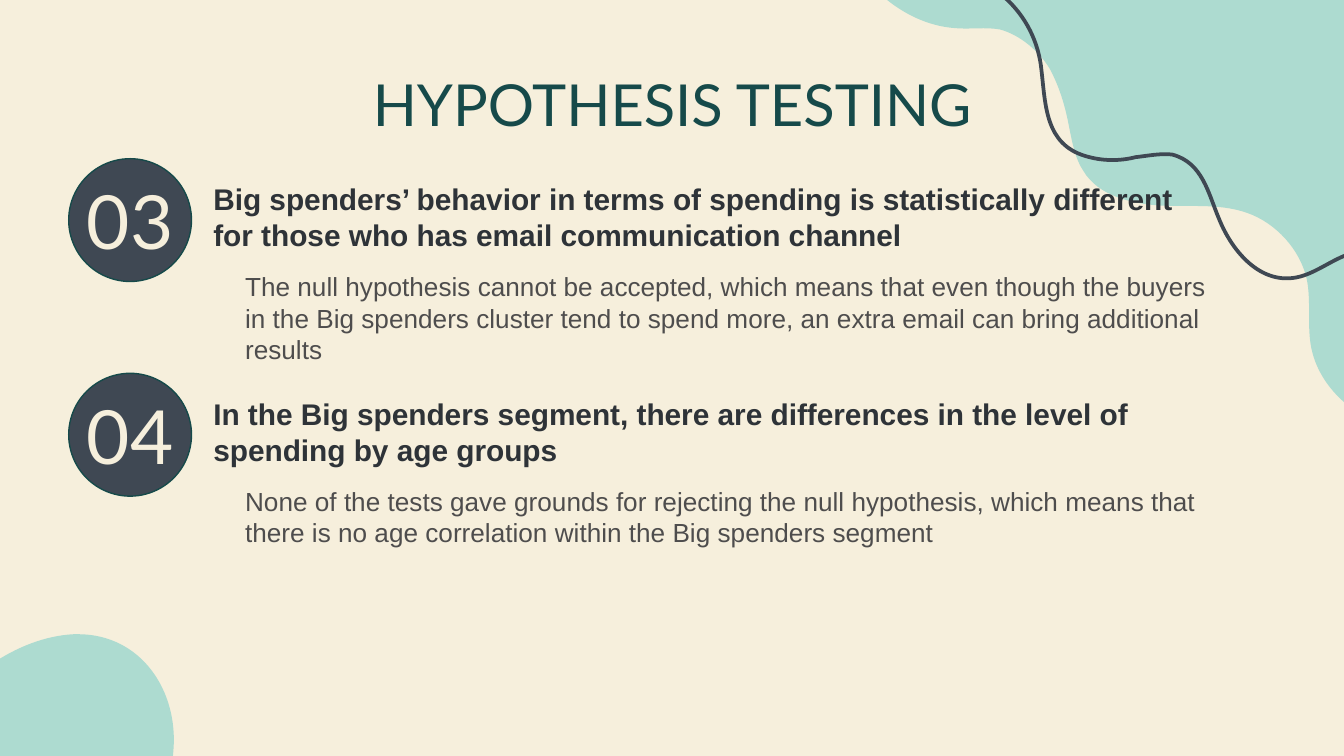
from dataclasses import dataclass

from pptx import Presentation
from pptx.dml.color import RGBColor
from pptx.enum.shapes import MSO_SHAPE
from pptx.enum.text import MSO_ANCHOR, MSO_AUTO_SIZE, PP_ALIGN
from pptx.oxml.ns import qn
from pptx.oxml.xmlchemy import OxmlElement
from pptx.util import Pt


@dataclass(frozen=True)
class Theme:
    cream: str = "F6EFDC"
    mint: str = "ADDBD0"
    slate: str = "3F4853"
    teal: str = "164A4A"
    ink: str = "2E3338"
    grey: str = "4E4D4D"
    display: str = "Lato"
    text: str = "Arial"
    title_size: int = 31
    number_size: int = 40
    heading_size: int = 16
    body_size: int = 14


THEME = Theme()

# Outlines in points: a start, then rows of (control, control, end) or (end).
TOP_BLOB = [
    (702, 183.6),
    (700.6, 173.5, 702, 163.4, 700.6, 152.6),
    (698.4, 136.8, 686.2, 121.7, 671, 115.2),
    (655.9, 108.7, 638.6, 110.9, 622.8, 110.2),
    (607, 109.4, 588.2, 105.1, 580.3, 91.4),
    (576, 85, 574.6, 77, 573.1, 69.8),
    (571, 58.3, 568.1, 47.5, 562.3, 36.7),
    (556.6, 27.4, 546.5, 18.7, 535.7, 15.8),
    (527.8, 14.4, 519.8, 15.8, 511.9, 15.1),
    (491, 13.7, 472.3, 0.7, 460.1, -15.8),
    (457.9, -18),
    (463.7, -28.1, 469.4, -39.6, 480.2, -43.2),
    (499, -50.4, 517.7, -31.7, 537.8, -30.2),
    (553.7, -28.8, 568.1, -38.2, 581.8, -46.8),
    (612.7, -65.5, 650.9, -79.2, 684.7, -65.5),
    (693.4, -62.6, 701.3, -57.6, 707.8, -51.8),
    (720.7, -40.3, 730.8, -25.2, 735.8, -8.6),
    (743.8, 18, 740.2, 47.5, 745.2, 74.2),
    (745.2, 228.2),
    (743, 228.2),
    (722.2, 221.8, 704.9, 204.5, 702, 183.6),
]
BOTTOM_BLOB = [
    (39.6, 339.8),
    (23.8, 340.6, 8.6, 347, -4.3, 355.7),
    (-34.6, 375.1, -55.4, 408.2, -63.4, 443.5),
    (74.9, 443.5),
    (85, 430.6, 92.2, 416.2, 92.9, 402.5),
    (95.8, 370.1, 75.6, 339.8, 41.8, 339.8),
]
RIBBON = [
    (478.8, -13.7),
    (485.3, -15.9, 491.1, -17.3, 497.5, -16.6),
    (529.2, -16.6, 555.1, 6.5, 558, 38.1),
    (560.2, 56.9, 560.2, 77, 581.1, 83.5),
    (590.4, 86.4, 599.8, 86.4, 608.4, 84.2),
    (614.9, 83.5, 621.4, 82.1, 627.9, 82.8),
    (644.4, 87.1, 647.3, 103.7, 653.1, 117.3),
    (660.3, 135.3, 676.8, 154.8, 698.4, 147.6),
    (707.1, 144.7, 714.3, 138.9, 722.9, 136.1),
    (729.4, 133.2, 735.9, 131.7, 743.1, 130.3),
    (757.5, 128.9, 772.6, 131, 785.5, 136.8),
]

ITEMS = [
    ("03",
     "Big spenders’ behavior in terms of spending is statistically different "
     "for those who has email communication channel",
     "The null hypothesis cannot be accepted, which means that even though "
     "the buyers in the Big spenders cluster tend to spend more, an extra "
     "email can bring additional results"),
    ("04",
     "In the Big spenders segment, there are differences in the level of "
     "spending by age groups",
     "None of the tests gave grounds for rejecting the null hypothesis, which "
     "means that there is no age correlation within the Big spenders segment"),
]


def rgb(value):
    return RGBColor.from_string(value)


def add_outline(s, outline, close):
    """Build a freeform through the knots, then bend its segments."""
    knots = [(Pt(row[-2]), Pt(row[-1])) for row in outline]
    builder = s.shapes.build_freeform(*knots[0], scale=1.0)
    builder.add_line_segments(knots[1:], close=close)
    sp = builder.convert_to_shape()
    sp.shadow.inherit = False
    segments = sp._element.findall(".//" + qn("a:lnTo"))
    for segment, row in zip(segments, outline[1:]):
        if len(row) == 2:
            continue
        curve = OxmlElement("a:cubicBezTo")
        for x, y in zip(row[::2], row[1::2]):
            pt = OxmlElement("a:pt")
            pt.set("x", str(Pt(x) - sp.left))
            pt.set("y", str(Pt(y) - sp.top))
            curve.append(pt)
        segment.getparent().replace(segment, curve)
    return sp


def add_backdrop(s):
    """Blobs and ribbon, moved behind the placeholders."""
    parts = []
    for outline in (BOTTOM_BLOB, TOP_BLOB):
        sp = add_outline(s, outline, True)
        sp.fill.solid()
        sp.fill.fore_color.rgb = rgb(THEME.mint)
        sp.line.fill.background()
        parts.append(sp)
    ribbon = add_outline(s, RIBBON, False)
    ribbon.fill.background()
    ribbon.line.color.rgb = rgb(THEME.slate)
    ribbon.line.width = Pt(2)
    parts.append(ribbon)
    for i, sp in enumerate(parts):
        s.shapes._spTree.insert(2 + i, sp._element)


def set_text(sp, text, font, size, color, bold=False, wrap=True,
             align=PP_ALIGN.LEFT, anchor=MSO_ANCHOR.TOP):
    tf = sp.text_frame
    tf.text = text
    tf.word_wrap = wrap
    tf.auto_size = MSO_AUTO_SIZE.NONE
    tf.vertical_anchor = anchor
    tf.margin_left = tf.margin_right = tf.margin_top = tf.margin_bottom = 0
    p = tf.paragraphs[0]
    p.alignment = align
    p.line_spacing = 1.0
    p.space_before = Pt(0)
    pPr = p._p.get_or_add_pPr()
    pPr.set("marL", "0")
    pPr.set("indent", "0")
    pPr.append(OxmlElement("a:buNone"))
    r = p.runs[0]
    r.font.name = font
    r.font.size = Pt(size)
    r.font.bold = bold
    r.font.color.rgb = rgb(color)


def place(sp, left, top, width, height):
    sp.left, sp.top, sp.width, sp.height = map(Pt, (left, top, width, height))


def add_item(s, item, heading, body, left, top, width):
    """Numbered circle with a heading and an indented explanation."""
    number, heading_text, body_text = item
    size = 65.8
    circle = s.shapes.add_shape(MSO_SHAPE.OVAL, Pt(left), Pt(top),
                                Pt(size), Pt(size))
    circle.shadow.inherit = False
    circle.fill.solid()
    circle.fill.fore_color.rgb = rgb(THEME.slate)
    circle.line.color.rgb = rgb(THEME.teal)
    circle.line.width = Pt(0.75)
    set_text(circle, number, THEME.display, THEME.number_size, THEME.cream,
             wrap=False, align=PP_ALIGN.CENTER, anchor=MSO_ANCHOR.MIDDLE)

    gutter, indent = 77.5, 17
    text_left, text_width = left + gutter, width - gutter - indent
    place(heading, text_left, top + 12, text_width, 36)
    set_text(heading, heading_text, THEME.text, THEME.heading_size,
             THEME.ink, bold=True)
    place(body, text_left + indent, top + 60, text_width, 57.5)
    set_text(body, body_text, THEME.text, THEME.body_size, THEME.grey)


def build_numbered_slide(prs, title, items):
    s = prs.slides.add_slide(prs.slide_layouts.get_by_name("Comparison"))
    s.background.fill.solid()
    s.background.fill.fore_color.rgb = rgb(THEME.cream)
    add_backdrop(s)
    place(s.shapes.title, 56, 36.7, 608, 36)
    set_text(s.shapes.title, title, THEME.display, THEME.title_size,
             THEME.teal, align=PP_ALIGN.CENTER)
    holders = {ph.placeholder_format.idx: ph for ph in s.placeholders}
    for i, item in enumerate(items):
        add_item(s, item, holders[2*i + 1], holders[2*i + 2],
                 left=36.8, top=85 + 115*i, width=619.5)


def main():
    prs = Presentation()
    prs.slide_width, prs.slide_height = Pt(720), Pt(405)
    build_numbered_slide(prs, "HYPOTHESIS TESTING", ITEMS)
    prs.save("out.pptx")


if __name__ == "__main__":
    main()
